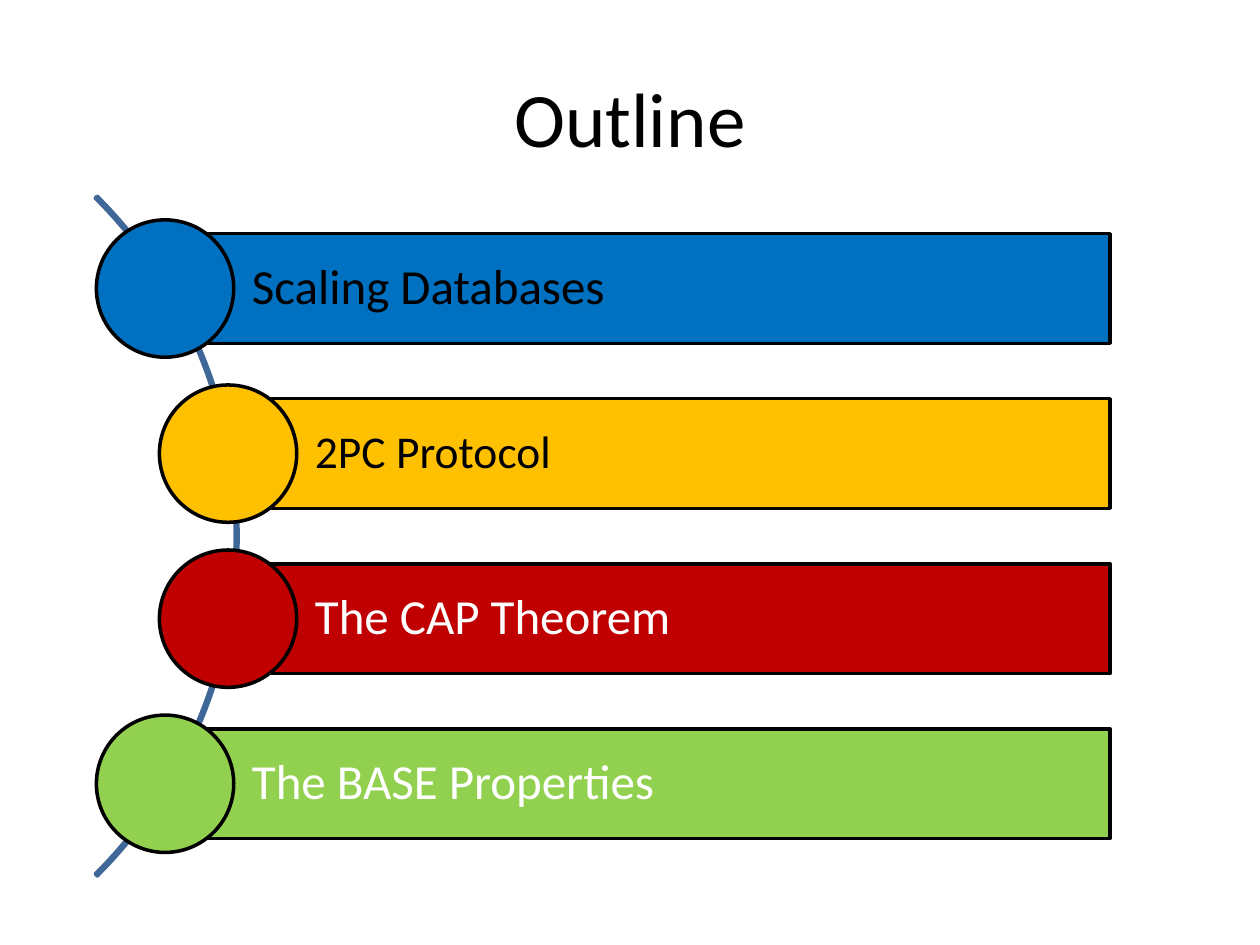
"""Build the Outline slide: four topic bars with circles along an arc."""
import pptx
import pptx.util
import pptx.dml.color
import pptx.enum.shapes
import pptx.enum.text

Inches, Pt = pptx.util.Inches, pptx.util.Pt
RGB = pptx.dml.color.RGBColor.from_string
SHAPE = pptx.enum.shapes.MSO_SHAPE
ALIGN = pptx.enum.text.PP_ALIGN
MIDDLE = pptx.enum.text.MSO_ANCHOR.MIDDLE

THEME = {
    "font": "Calibri", "title": 44, "topic": 28, "topic_small": 26, "line": 2,
    "black": "000000", "white": "FFFFFF", "arc": "3F6797",
    "blue": "0070C0", "amber": "FFC000", "red": "C00000", "green": "92D050",
}
TOPICS = [
    ("Scaling Databases", "blue", "black", "topic", 1.31),
    ("2PC Protocol", "amber", "black", "topic_small", 1.81),
    ("The CAP Theorem", "red", "white", "topic", 1.81),
    ("The BASE Properties", "green", "white", "topic", 1.31),
]
BAR_RIGHT, BAR_HEIGHT, CIRCLE = 8.81, 0.87, 1.09
FIRST_CENTER, PITCH = 2.29, 1.31


def add_outlined(kind, x, y, w, h, line, fill=None):
    sp = s.shapes.add_shape(kind, Inches(x), Inches(y), Inches(w), Inches(h))
    sp.shadow.inherit = False
    sp.line.color.rgb = RGB(THEME[line])
    sp.line.width = Pt(THEME["line"])
    if fill:
        sp.fill.solid()
        sp.fill.fore_color.rgb = RGB(THEME[fill])
    else:
        sp.fill.background()
    return sp


def write(sp, text, size, color, align):
    tf = sp.text_frame
    tf.word_wrap = True
    tf.vertical_anchor = MIDDLE
    p = tf.paragraphs[0]
    p.alignment = align
    r = p.add_run()
    r.text = text
    r.font.name = THEME["font"]
    r.font.size = Pt(THEME[size])
    r.font.color.rgb = RGB(THEME[color])
    return tf


prs = pptx.Presentation()
prs.slide_width, prs.slide_height = Inches(10), Inches(7.5)
s = prs.slides.add_slide(prs.slide_layouts[6])

title = s.shapes.add_textbox(Inches(0.5), Inches(0.3), Inches(9), Inches(1.25))
write(title, "Outline", "title", "black", ALIGN.CENTER)

arc = add_outlined(SHAPE.BLOCK_ARC, -5.74, 0.44, 7.63, 7.63, "arc")
for i, value in enumerate((189, 27, 0.003)):
    arc.adjustments[i] = value

for i, (text, fill, color, size, left) in enumerate(TOPICS):
    center = FIRST_CENTER + i * PITCH
    bar = add_outlined(SHAPE.RECTANGLE, left, center - BAR_HEIGHT / 2,
                       BAR_RIGHT - left, BAR_HEIGHT, "black", fill)
    tf = write(bar, text, size, color, ALIGN.LEFT)
    tf.margin_left = Inches(0.69)
    tf.margin_top = tf.margin_right = tf.margin_bottom = Inches(0.08)
    tf.paragraphs[0].line_spacing = 0.9
    add_outlined(SHAPE.OVAL, left - CIRCLE / 2, center - CIRCLE / 2,
                 CIRCLE, CIRCLE, "black", fill)

prs.save("out.pptx")
